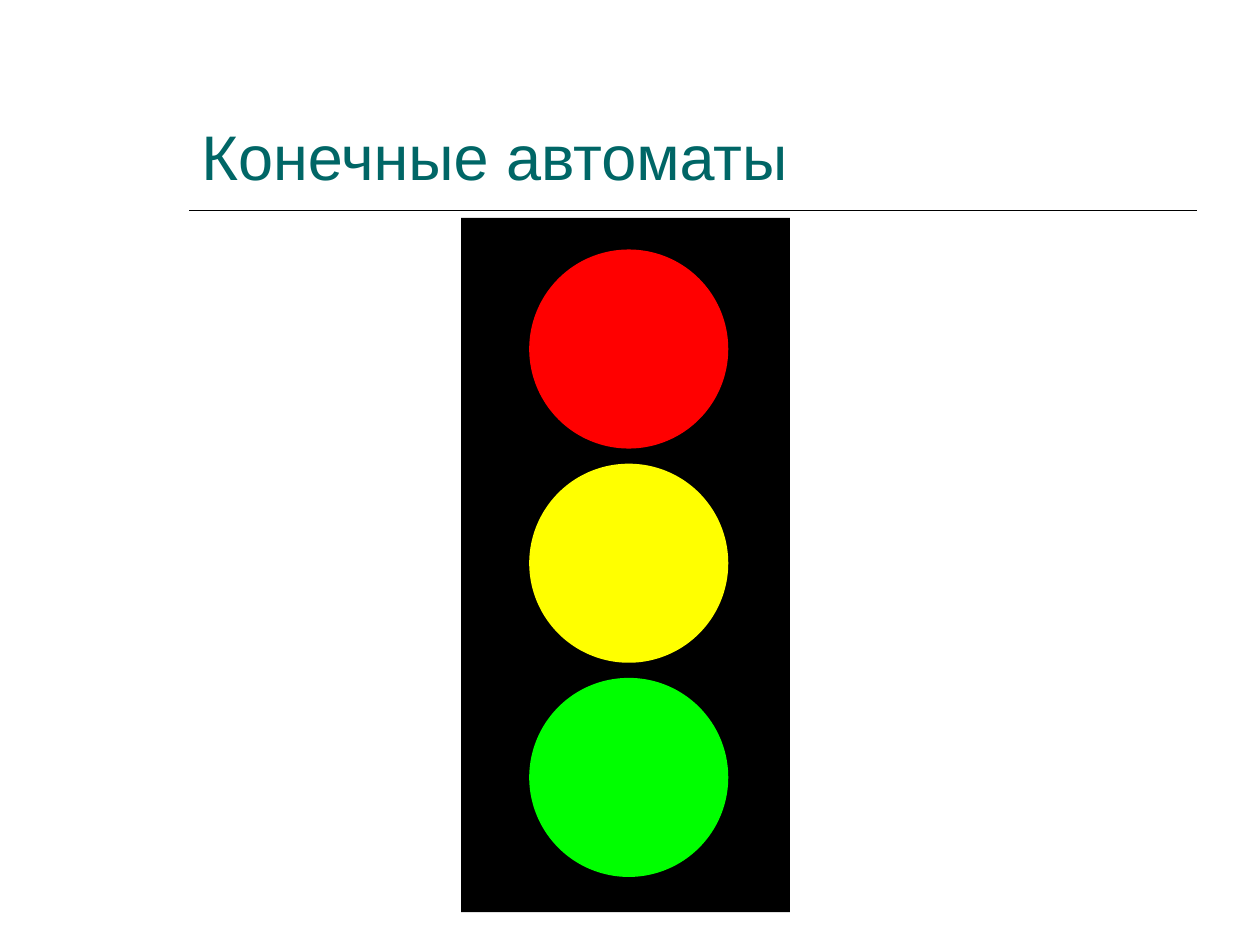
from dataclasses import dataclass

from lxml import etree
from pptx import Presentation
from pptx.dml.color import RGBColor
from pptx.enum.shapes import MSO_CONNECTOR, MSO_SHAPE
from pptx.enum.text import MSO_ANCHOR
from pptx.oxml.ns import qn
from pptx.util import Inches, Pt

RECTANGLE = MSO_SHAPE.RECTANGLE
OVAL = MSO_SHAPE.OVAL
STRAIGHT = MSO_CONNECTOR.STRAIGHT
BOTTOM = MSO_ANCHOR.BOTTOM

BLACK = RGBColor(0x00, 0x00, 0x00)
RED = RGBColor(0xFF, 0x00, 0x00)
YELLOW = RGBColor(0xFF, 0xFF, 0x00)
GREEN = RGBColor(0x00, 0xFF, 0x00)
TEAL = RGBColor(0x00, 0x66, 0x66)

LAMP_LEFT, LAMP_TOP = 4.2, 1.98
LAMP_SIZE, LAMP_STEP = 1.58, 1.7


@dataclass
class Part:
    kind: MSO_SHAPE
    left: float
    top: float
    width: float
    height: float
    color: RGBColor


def draw_part(slide, part: Part) -> None:
    shape = slide.shapes.add_shape(
        part.kind, Inches(part.left), Inches(part.top),
        Inches(part.width), Inches(part.height))
    shape.shadow.inherit = False
    shape.fill.solid()
    shape.fill.fore_color.rgb = part.color
    shape.line.fill.background()


def draw_title(slide, text: str) -> None:
    title = slide.shapes.add_textbox(
        Inches(1.5), Inches(0.33), Inches(8), Inches(1.25))
    text_frame = title.text_frame
    text_frame.word_wrap = True
    text_frame.vertical_anchor = BOTTOM
    text_frame.text = text
    font = text_frame.paragraphs[0].runs[0].font
    font.name = "Arial"
    font.size = Pt(36)
    font.color.rgb = TEAL


def draw_rule(slide) -> None:
    rule = slide.shapes.add_connector(
        STRAIGHT, Inches(1.5), Inches(1.67), Inches(9.5), Inches(1.67))
    rule.line.color.rgb = BLACK
    rule.line.width = Pt(1)
    etree.SubElement(rule._element.spPr, qn("a:effectLst"))


presentation = Presentation()
presentation.slide_width = Inches(10)
presentation.slide_height = Inches(7.5)
slide = presentation.slides.add_slide(presentation.slide_layouts[6])

# Heading with its rule
draw_rule(slide)
draw_title(slide, "Конечные автоматы")

# Traffic light: housing, then lamps at equal steps
draw_part(slide, Part(RECTANGLE, 3.66, 1.73, 2.61, 5.51, BLACK))
for index, color in enumerate((RED, YELLOW, GREEN)):
    lamp_top = LAMP_TOP + index * LAMP_STEP
    draw_part(slide, Part(OVAL, LAMP_LEFT, lamp_top, LAMP_SIZE, LAMP_SIZE, color))

presentation.save("out.pptx")
